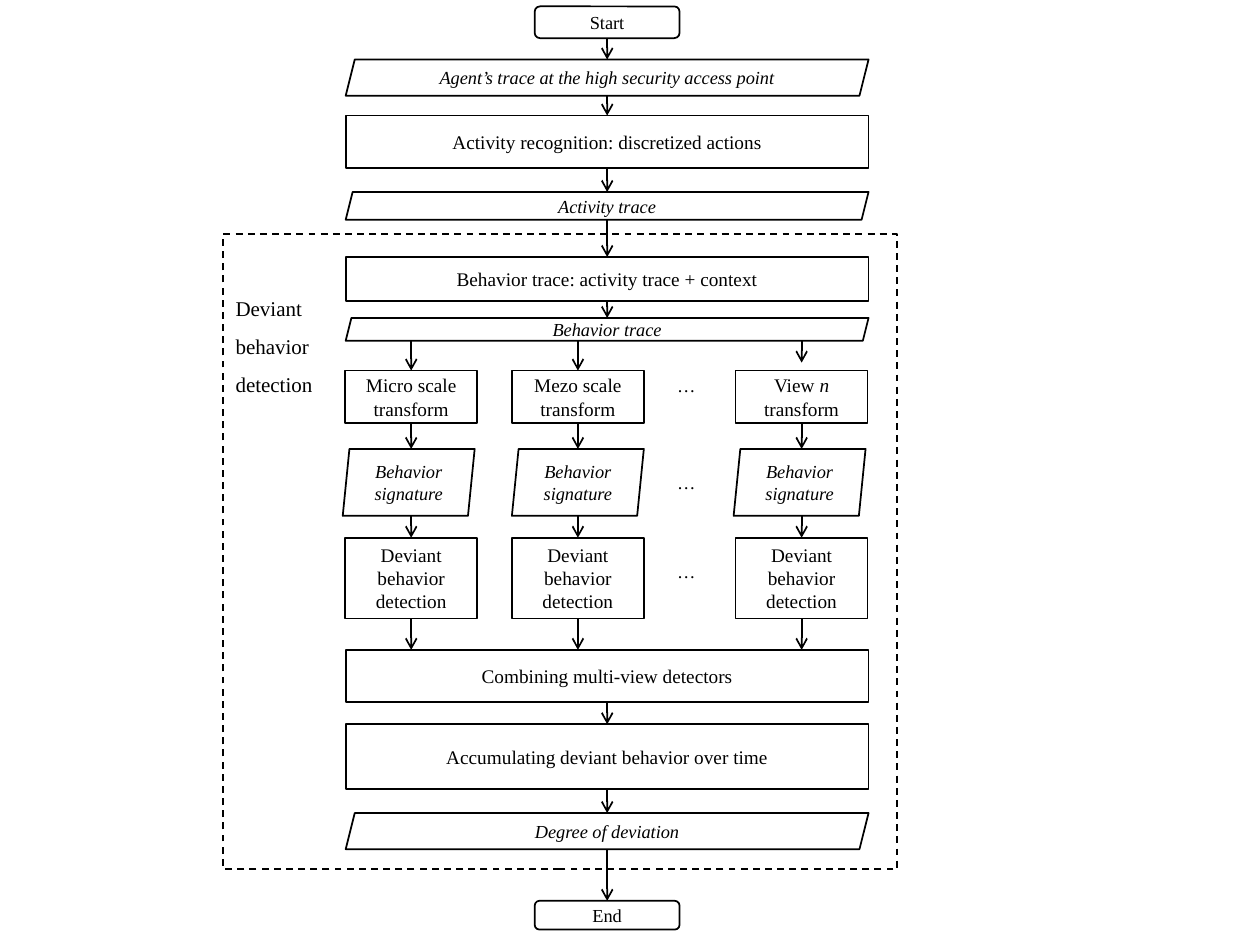
import pptx
import pptx.util
import pptx.dml.color
import pptx.enum.dml
import pptx.enum.shapes
import pptx.enum.text
import pptx.oxml
import pptx.oxml.ns
from pptx.util import Cm

COLORS = {"ink": "000000"}
FONT = "Times New Roman"
SHAPE = pptx.enum.shapes.MSO_SHAPE
ALIGN = pptx.enum.text.PP_ALIGN
ANCHOR = pptx.enum.text.MSO_ANCHOR

CENTER = 12.24
WIDE, NARROW, COLUMN = 10.54, 2.92, 2.66
FRAME = (4.5, 4.72, 13.59, 12.8)

# kind, text, top, height
TOP_STEPS = [
    ("terminal", "Start", 0.13, 0.64),
    ("data", "Agent’s trace at the high security access point", 1.2, 0.73),
    ("process", "Activity recognition: discretized actions", 2.33, 1.06),
    ("data", "Activity trace", 3.87, 0.56),
    ("process", "Behavior trace: activity trace + context", 5.18, 0.89),
    ("data", "Behavior trace", 6.41, 0.46),
]
BOTTOM_STEPS = [
    ("process", "Combining multi-view detectors", 13.1, 1.06),
    ("process", "Accumulating deviant behavior over time", 14.6, 1.3),
    ("data", "Degree of deviation", 16.39, 0.73),
    ("terminal", "End", 18.16, 0.58),
]
# box left, signature left, tip of the incoming arrow, runs of the transform
VIEWS = [
    (6.96, 6.91, 7.47, [("Micro scale transform", False)]),
    (10.32, 10.32, 7.47, [("Mezo scale transform", False)]),
    (14.83, 14.79, 7.31, [("View ", False), ("n ", True), ("transform", False)]),
]
TRANSFORM = (7.47, 1.06)
SIGNATURE = (9.05, 1.35)
DETECTION = (10.84, 1.63)

# kind: preset shape, text size, italic
KINDS = {
    "terminal": (SHAPE.ROUNDED_RECTANGLE, 10.5, False),
    "data": (SHAPE.PARALLELOGRAM, 10.5, True),
    "process": (SHAPE.RECTANGLE, 11, False),
}


def color(name):
    return pptx.dml.color.RGBColor.from_string(COLORS[name])


def style_line(line):
    line.color.rgb = color("ink")
    line.width = pptx.util.Pt(1)


def style_paragraph(paragraph, size, alignment=ALIGN.CENTER):
    paragraph.alignment = alignment
    paragraph.font.name = FONT
    paragraph.font.size = pptx.util.Pt(size)
    paragraph.font.color.rgb = color("ink")


def set_margins(frame, horizontal, top, bottom):
    frame.margin_left = frame.margin_right = Cm(horizontal)
    frame.margin_top, frame.margin_bottom = Cm(top), Cm(bottom)


def add_outline(slide, preset, left, top, width, height):
    shape = slide.shapes.add_shape(preset, Cm(left), Cm(top), Cm(width), Cm(height))
    shape.shadow.inherit = False
    shape.fill.background()
    style_line(shape.line)
    shape.text_frame.word_wrap = True
    return shape


def add_step(slide, kind, runs, left, top, width, height):
    preset, size, italic = KINDS[kind]
    shape = add_outline(slide, preset, left, top, width, height)
    frame = shape.text_frame
    frame.vertical_anchor = ANCHOR.MIDDLE
    set_margins(frame, 0.1, 0, 0)
    paragraph = frame.paragraphs[0]
    style_paragraph(paragraph, size)
    paragraph.font.italic = italic
    for text, emphasized in runs:
        run = paragraph.add_run()
        run.text = text
        if emphasized:
            run.font.italic = True
    return shape


def add_arrow(slide, x, start, end):
    arrow = slide.shapes.add_connector(
        pptx.enum.shapes.MSO_CONNECTOR.STRAIGHT, Cm(x), Cm(start), Cm(x), Cm(end))
    style_line(arrow.line)
    line = arrow.line._get_or_add_ln()
    head = pptx.oxml.parse_xml(
        '<a:tailEnd %s type="arrow"/>' % pptx.oxml.ns.nsdecls("a"))
    line.append(head)
    effects = pptx.oxml.parse_xml('<a:effectLst %s/>' % pptx.oxml.ns.nsdecls("a"))
    line.addnext(effects)


def add_chain(slide, steps):
    for index, (kind, text, top, height) in enumerate(steps):
        width = NARROW if kind == "terminal" else WIDE
        add_step(slide, kind, [(text, False)], CENTER - width / 2, top, width, height)
        if index:
            previous_top, previous_height = steps[index - 1][2:]
            add_arrow(slide, CENTER, previous_top + previous_height, top)


def add_view(slide, left, signature_left, tip, transform):
    add_step(slide, "process", transform, left, TRANSFORM[0], COLUMN, TRANSFORM[1])
    signature = add_step(slide, "data", [("Behavior signature", False)],
                         signature_left, SIGNATURE[0], COLUMN, SIGNATURE[1])
    signature.adjustments[0] = 0.1
    add_step(slide, "process", [("Deviant behavior detection", False)],
             left, DETECTION[0], COLUMN, DETECTION[1])

    x = left + COLUMN / 2
    add_arrow(slide, x, sum(TOP_STEPS[-1][2:]), tip)
    add_arrow(slide, x, sum(TRANSFORM), SIGNATURE[0])
    add_arrow(slide, x, sum(SIGNATURE), DETECTION[0])
    add_arrow(slide, x, sum(DETECTION), BOTTOM_STEPS[0][2])


def add_ellipsis(slide, top):
    box = slide.shapes.add_textbox(Cm(13.38), Cm(top), Cm(0.91), Cm(0.38))
    frame = box.text_frame
    frame.word_wrap = True
    frame.vertical_anchor = ANCHOR.MIDDLE
    set_margins(frame, 0, 0, 0)
    frame.text = "…"
    style_paragraph(frame.paragraphs[0], 10.5)


def add_detection_frame(slide):
    shape = add_outline(slide, SHAPE.RECTANGLE, *FRAME)
    shape.line.dash_style = pptx.enum.dml.MSO_LINE.DASH
    frame = shape.text_frame
    frame.vertical_anchor = ANCHOR.TOP
    set_margins(frame, 0.25, 0.99, 0.13)
    frame.text = "Deviant\nbehavior\ndetection"
    for paragraph in frame.paragraphs:
        style_paragraph(paragraph, 12, ALIGN.LEFT)
        paragraph.line_spacing = 1.5


def main():
    presentation = pptx.Presentation()
    presentation.slide_width, presentation.slide_height = Cm(25.4), Cm(19.05)
    slide = presentation.slides.add_slide(presentation.slide_layouts[6])

    # Dashed frame with its label
    add_detection_frame(slide)

    # Main flow above and below the views
    add_chain(slide, TOP_STEPS)
    add_chain(slide, BOTTOM_STEPS)

    # Parallel views and the dots between them
    for view in VIEWS:
        add_view(slide, *view)
    for top in (7.57, 9.53, 11.33):
        add_ellipsis(slide, top)

    presentation.save("out.pptx")


main()
